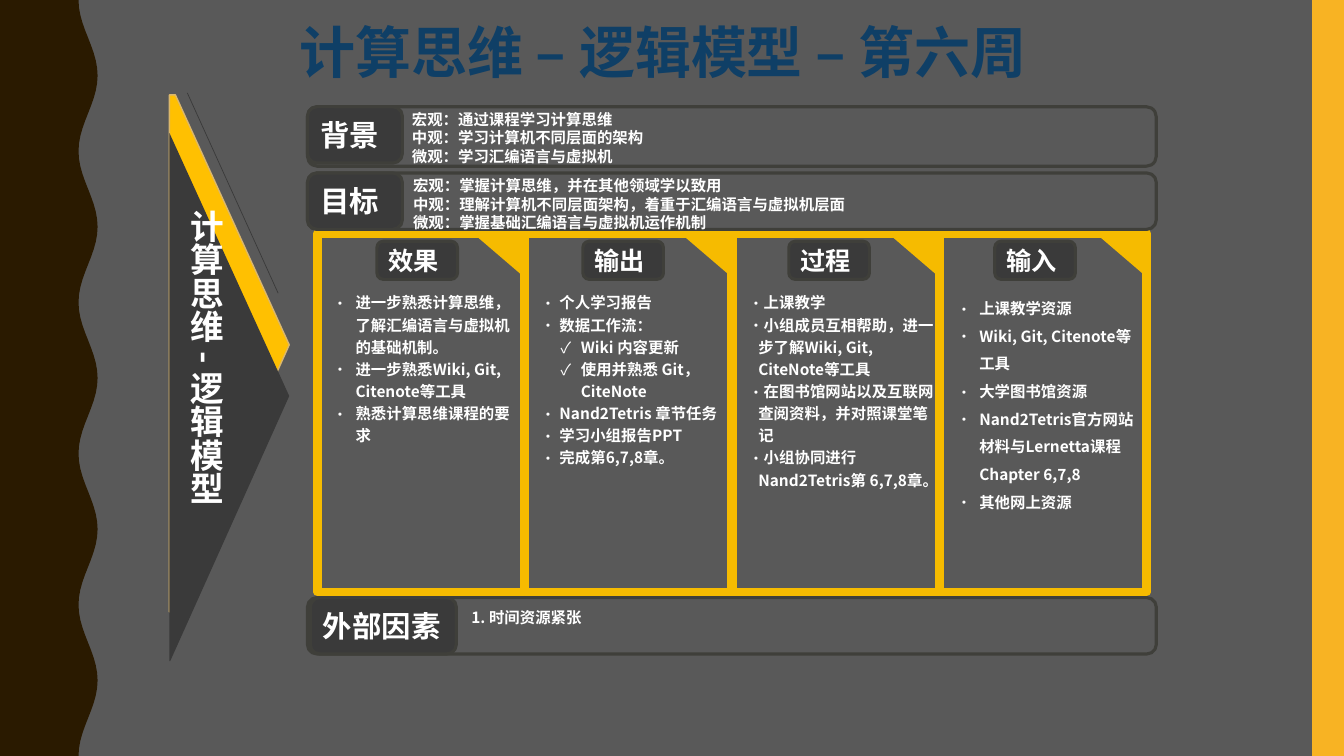
import math

import lxml.etree
import pptx
import pptx.dml.color
import pptx.enum.shapes
import pptx.enum.text
import pptx.oxml.ns
import pptx.util

Cm = pptx.util.Cm
Pt = pptx.util.Pt
SHAPE = pptx.enum.shapes.MSO_SHAPE
qn = pptx.oxml.ns.qn

theme = {
    "font": "Noto Sans CJK SC",
    "ground": "595959",
    "wave": "2A1A00",
    "edge": "F8B323",
    "frame": "F6BB00",
    "arrow": "FFC001",
    "arrow_line": "DBB76C",
    "dark": "3A3A3A",
    "border": "3F3F3A",
    "text": "FFFFFF",
    "title": "0F3F66",
    "title_size": 40,
    "side_size": 24,
    "band_size": 21,
    "heading_size": 18,
    "body_size": 11,
    "body_line": 13.2,
}


def paint(shape, fill=None, line=None, width=1):
    shape.shadow.inherit = False
    for part, color in ((shape.fill, fill), (shape.line.fill, line)):
        if color:
            part.solid()
            part.fore_color.rgb = pptx.dml.color.RGBColor.from_string(theme[color])
        else:
            part.background()
    if line:
        shape.line.width = Pt(width)


def write(shape, lines, size, color="text", spacing=None, anchor="TOP"):
    frame = shape.text_frame
    frame.word_wrap = True
    frame.vertical_anchor = pptx.enum.text.MSO_ANCHOR[anchor]
    for number, (words, bullet, margin, hang) in enumerate(lines):
        paragraph = frame.add_paragraph() if number else frame.paragraphs[0]
        paragraph.text = words
        paragraph.alignment = pptx.enum.text.PP_ALIGN.LEFT
        if spacing:
            paragraph.line_spacing = Pt(spacing)
        if bullet:
            properties = paragraph._p.get_or_add_pPr()
            properties.set("marL", str(Cm(margin)))
            properties.set("indent", str(-Cm(hang)))
            lxml.etree.SubElement(properties, qn("a:buFont")).set("typeface", theme["font"])
            lxml.etree.SubElement(properties, qn("a:buChar")).set("char", bullet)
        for run in paragraph.runs:
            run.font.size = Pt(size)
            run.font.bold = True
            run.font.name = theme["font"]
            run.font.color.rgb = pptx.dml.color.RGBColor.from_string(theme[color])
            east_asian = lxml.etree.SubElement(run.font._element, qn("a:ea"))
            east_asian.set("typeface", theme["font"])


presentation = pptx.Presentation()
presentation.slide_width = Cm(33.87)
presentation.slide_height = Cm(19.05)
slide = presentation.slides.add_slide(presentation.slide_layouts[6])
slide.background.fill.solid()
slide.background.fill.fore_color.rgb = pptx.dml.color.RGBColor.from_string(theme["ground"])
shapes = slide.shapes

wave_steps = 100
wave_points = []
for step in range(wave_steps + 1):
    y = 19.05 * step / wave_steps
    wave_points.append((2.22 - 0.24 * math.cos(2 * math.pi * y / 3.81), y))
wave_points.append((0, 19.05))
outlines = [
    ([(0, 0)] + wave_points, "wave", None),
    ([(4.27, 2.39), (4.42, 2.39), (7.29, 8.69), (4.27, 15.42)], "arrow", "arrow_line"),
    ([(4.27, 3.35), (7.29, 9.98), (4.29, 16.66), (4.27, 16.66)], "dark", None),
]
for points, fill, line in outlines:
    corners = [(Cm(x), Cm(y)) for x, y in points]
    builder = shapes.build_freeform(*corners[0], scale=1.0)
    builder.add_line_segments(corners[1:], close=True)
    paint(builder.convert_to_shape(), fill, line)

paint(shapes.add_shape(SHAPE.RECTANGLE, Cm(33.07), 0, Cm(0.8), Cm(19.05)), "edge")

arrow_trace = shapes.add_connector(
    pptx.enum.shapes.MSO_CONNECTOR.STRAIGHT, Cm(7.01), Cm(7.39), Cm(4.72), Cm(2.34))
arrow_trace.line.width = Pt(0.5)
arrow_trace.line.color.rgb = pptx.dml.color.RGBColor.from_string(theme["dark"])
lxml.etree.SubElement(arrow_trace._element.spPr, qn("a:effectLst"))

course_name = shapes.add_textbox(Cm(4.29), Cm(5.03), Cm(1.55), Cm(10.16))
course_name.text_frame._txBody.bodyPr.set("vert", "eaVert")
write(course_name, [("计算思维 - 逻辑模型", None, 0, 0)], theme["side_size"])

title = shapes.add_textbox(Cm(7.3), Cm(0.2), Cm(20), Cm(2.2))
write(title, [("计算思维 – 逻辑模型 – 第六周", None, 0, 0)],
      theme["title_size"], "title", anchor="MIDDLE")

columns = [
    ("效果", 5.26, 1.2, [
        ("进一步熟悉计算思维，了解汇编语言与虚拟机的基础机制。", "•", 0.58, 0.58),
        ("进一步熟悉Wiki, Git, Citenote等工具", "•", 0.58, 0.58),
        ("熟悉计算思维课程的要求", "•", 0.58, 0.58),
    ]),
    ("输出", 5, 1.2, [
        ("个人学习报告", "•", 0.48, 0.48),
        ("数据工作流：", "•", 0.48, 0.48),
        ("Wiki 内容更新", "✓", 1.02, 0.51),
        ("使用并熟悉 Git，CiteNote", "✓", 1.02, 0.51),
        ("Nand2Tetris 章节任务", "•", 0.48, 0.48),
        ("学习小组报告PPT", "•", 0.48, 0.48),
        ("完成第6,7,8章。", "•", 0.48, 0.48),
    ]),
    ("过程", 5.23, 1.2, [
        ("上课教学", "•", 0.25, 0.25),
        ("小组成员互相帮助，进一步了解Wiki, Git, CiteNote等工具", "•", 0.25, 0.25),
        ("在图书馆网站以及互联网查阅资料，并对照课堂笔记", "•", 0.25, 0.25),
        ("小组协同进行Nand2Tetris第 6,7,8章。", "•", 0.25, 0.25),
    ]),
    ("输入", 5.03, 1.5, [
        ("上课教学资源", "•", 0.58, 0.58),
        ("Wiki, Git, Citenote等工具", "•", 0.58, 0.58),
        ("大学图书馆资源", "•", 0.58, 0.58),
        ("Nand2Tetris官方网站材料与Lernetta课程Chapter 6,7,8", "•", 0.58, 0.58),
        ("其他网上资源", "•", 0.58, 0.58),
    ]),
]
for index, (heading, body_width, leading, points) in enumerate(columns):
    left = 8 + 5.23 * index
    panel = shapes.add_shape(SHAPE.RECTANGLE, Cm(left), Cm(5.88), Cm(5.21), Cm(9.04))
    paint(panel, line="frame", width=6)
    fold = shapes.add_shape(SHAPE.RIGHT_TRIANGLE, Cm(left + 3.95), Cm(5.88), Cm(1.19), Cm(1.02))
    fold.rotation = 180
    paint(fold, "frame", "frame")
    badge = shapes.add_shape(
        SHAPE.ROUNDED_RECTANGLE, Cm(9.5 + 5.19 * index), Cm(6.08), Cm(2.03), Cm(0.96))
    paint(badge, "dark", "border", 2.25)
    write(badge, [(heading, None, 0, 0)], theme["heading_size"], anchor="MIDDLE")
    body = shapes.add_textbox(Cm(8.13 + 5.24 * index), Cm(7.18), Cm(body_width), Cm(5))
    write(body, points, theme["body_size"], spacing=theme["body_line"] * leading)

bands = [
    ("背景", 2.69, 1.5, 7.75, 2.39, 10.13, 2.64, [
        "宏观：通过课程学习计算思维",
        "中观：学习计算机不同层面的架构",
        "微观：学习汇编语言与虚拟机",
    ]),
    ("目标", 4.36, 1.42, 7.75, 2.39, 10.16, 4.32, [
        "宏观：掌握计算思维，并在其他领域学以致用",
        "中观：理解计算机不同层面架构，着重于汇编语言与虚拟机层面",
        "微观：掌握基础汇编语言与虚拟机运作机制",
    ]),
    ("外部因素", 15.06, 1.42, 7.82, 3.68, 11.63, 15.19, ["1. 时间资源紧张"]),
]
for label, top, height, badge_left, badge_width, text_left, text_top, details in bands:
    band = shapes.add_shape(SHAPE.ROUNDED_RECTANGLE, Cm(7.75), Cm(top), Cm(21.39), Cm(height))
    paint(band, line="border", width=2.25)
    badge = shapes.add_shape(
        SHAPE.ROUNDED_RECTANGLE, Cm(badge_left), Cm(top), Cm(badge_width), Cm(1.42))
    paint(badge, "dark", "border", 2.25)
    write(badge, [(label, None, 0, 0)], theme["band_size"], anchor="MIDDLE")
    detail_box = shapes.add_textbox(
        Cm(text_left), Cm(text_top), Cm(18.5), Cm(0.25 + 0.47 * len(details)))
    write(detail_box, [(detail, None, 0, 0) for detail in details],
          theme["body_size"], spacing=theme["body_line"])

presentation.save("out.pptx")
